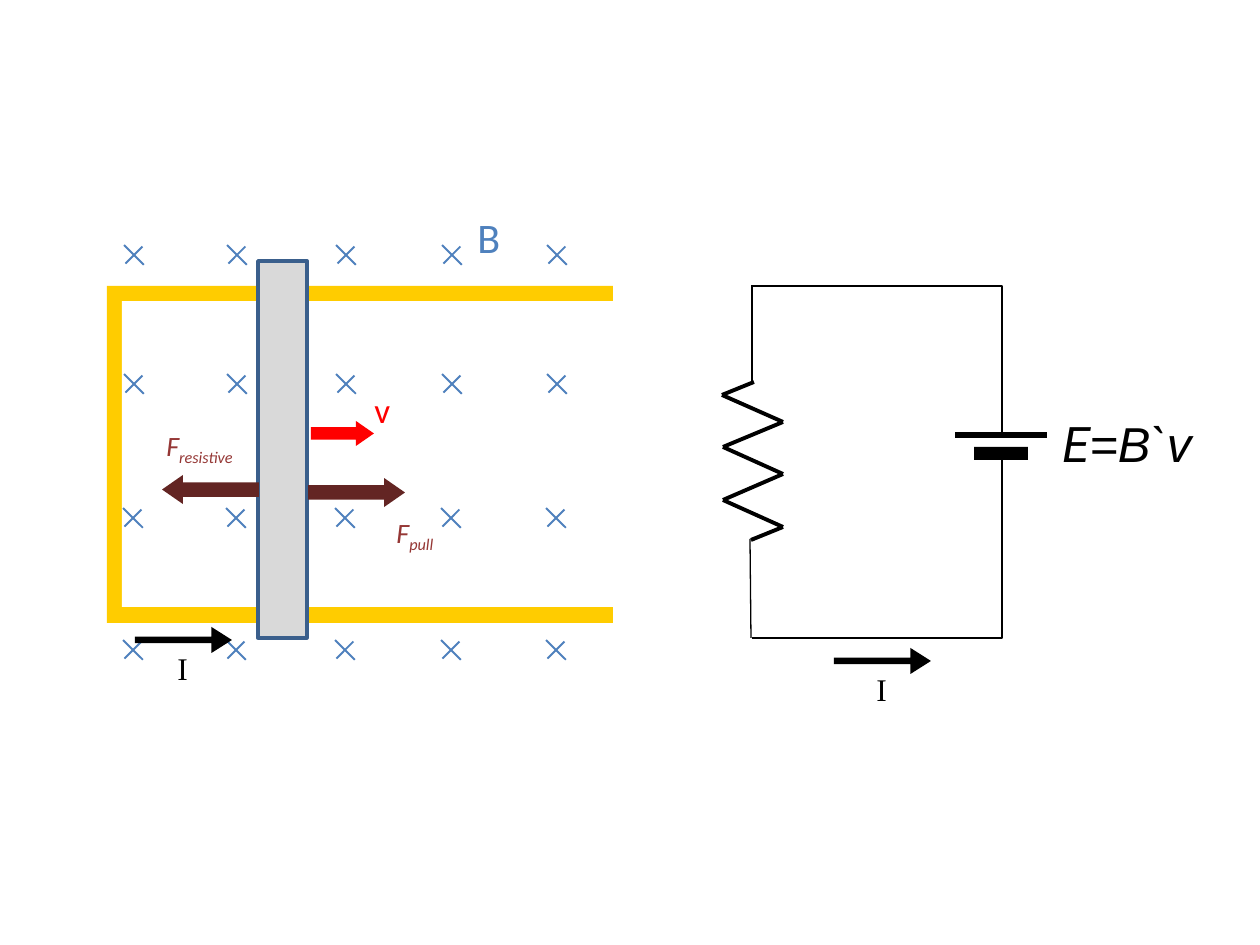
from lxml import etree
from pptx import Presentation
from pptx.dml.color import RGBColor
from pptx.enum.shapes import MSO_CONNECTOR, MSO_SHAPE
from pptx.enum.text import MSO_AUTO_SIZE
from pptx.oxml.ns import qn
from pptx.util import Emu, Pt

PX_PER_INCH = 126
BLACK, WHITE, RED = "000000", "FFFFFF", "FF0000"
BLUE, YELLOW, MAROON, BROWN = "4F81BD", "FFCC00", "953735", "632523"

# Yellow rail: full block, then the white opening on its right side
RAIL = [((107, 286, 506, 337), YELLOW), ((122, 301, 493, 306), WHITE)]

# Field crosses: centres of columns and rows, the two strokes of one cross
CROSS_COLUMNS = [134, 237, 346, 452, 557]
CROSS_ROWS = [(255, 0), (384, 0), (518, -1), (650, -1)]  # centre y, x shift
CROSS_STROKES = [(28, 45), (24, 315)]  # length, rotation
STROKE_WIDTH = 2

ROD = (258, 261, 49, 377)
BATTERY_PLATES = [(955, 432, 92, 6), (974, 447, 54, 13)]

# Arrows: box, colour, shaft share, head share, rotation
ARROWS = [
    ((311, 421, 63, 25), RED, 0.5, 0.719, 0),
    ((162, 475, 97, 29), BROWN, 0.5, 0.719, 180),
    ((308, 478, 97, 29), BROWN, 0.5, 0.719, 0),
    ((135, 627, 97, 26), BLACK, 0.249, 0.788, 0),
    ((834, 648, 97, 26), BLACK, 0.249, 0.788, 0),
]

RESISTOR = [(754, 382), (722, 395), (783, 422), (723, 447), (783, 474),
            (723, 500), (783, 527), (751, 540)]
STRAIGHT_WIRES = [((752, 383), (752, 285)), ((750, 539), (751, 638))]
BENT_WIRES = [((752, 286), (1002, 432)), ((752, 638), (1002, 460))]

# Labels: box, size, colour, italic, wrap, runs of (text, font, subscript)
LABELS = [
    ((362, 382, 42, 55), 20, RED, False, False, [("v", "Calibri", False)]),
    ((465, 205, 48, 63), 24, BLUE, False, False, [("B", "Calibri", False)]),
    ((384, 509, 67, 47), 16, MAROON, True, False,
     [("F", "Calibri", False), ("pull", "Calibri", True)]),
    ((154, 422, 101, 47), 16, MAROON, True, False,
     [("F", "Calibri", False), ("resistive", "Calibri", True)]),
    ((165, 643, 37, 50), 18, BLACK, False, False,
     [("I", "Times New Roman", False)]),
    ((864, 664, 37, 50), 18, BLACK, False, False,
     [("I", "Times New Roman", False)]),
    ((1050, 407, 205, 72), 28, BLACK, True, True,
     [("E", "Roboto", False), ("=B`v", "Arial", False)]),
]


def px(length):
    return Emu(round(length * 914400 / PX_PER_INCH))


def color(value):
    return RGBColor.from_string(value)


def add_block(slide, box, fill, kind=MSO_SHAPE.RECTANGLE, rotation=0):
    shape = slide.shapes.add_shape(kind, *map(px, box))
    shape.shadow.inherit = False
    shape.fill.solid()
    shape.fill.fore_color.rgb = color(fill)
    shape.line.fill.background()
    shape.rotation = rotation
    return shape


def add_wire(slide, start, end, width, kind=MSO_CONNECTOR.STRAIGHT):
    wire = slide.shapes.add_connector(kind, *map(px, start + end))
    wire.line.color.rgb = color(BLACK)
    wire.line.width = Pt(width)
    properties = wire._element.spPr
    etree.SubElement(properties, qn("a:effectLst"))
    if kind == MSO_CONNECTOR.ELBOW:  # one corner only
        properties.find(qn("a:prstGeom")).set("prst", "bentConnector2")


def add_label(slide, box, size, text_color, italic, wrap, runs):
    frame = slide.shapes.add_textbox(*map(px, box)).text_frame
    frame.word_wrap = wrap
    frame.auto_size = MSO_AUTO_SIZE.SHAPE_TO_FIT_TEXT
    paragraph = frame.paragraphs[0]
    for text, font_name, subscript in runs:
        run = paragraph.add_run()
        run.text = text
        run.font.name = font_name
        run.font.size = Pt(size)
        run.font.italic = italic
        run.font.color.rgb = color(text_color)
        if subscript:
            run.font._element.set("baseline", "-25000")


def main():
    presentation = Presentation()
    presentation.slide_width = px(1260)
    presentation.slide_height = px(945)
    slide = presentation.slides.add_slide(presentation.slide_layouts[6])

    # Rail and magnetic field
    for box, fill in RAIL:
        add_block(slide, box, fill)
    for column in CROSS_COLUMNS:
        for row, shift in CROSS_ROWS:
            for length, rotation in CROSS_STROKES:
                box = (column + shift - length / 2, row - STROKE_WIDTH / 2,
                       length, STROKE_WIDTH)
                add_block(slide, box, BLUE, rotation=rotation)

    # Sliding rod
    rod = add_block(slide, ROD, "D9D9D9")
    rod.line.color.rgb = color("3A5F8C")
    rod.line.width = Pt(2)

    # Velocity, force and current arrows
    for box, fill, shaft, head, rotation in ARROWS:
        arrow = add_block(slide, box, fill, MSO_SHAPE.RIGHT_ARROW, rotation)
        arrow.adjustments[0] = shaft
        arrow.adjustments[1] = head

    # Equivalent circuit
    for box in BATTERY_PLATES:
        add_block(slide, box, BLACK)
    for start, end in zip(RESISTOR, RESISTOR[1:]):
        add_wire(slide, start, end, 2.25)
    for start, end in STRAIGHT_WIRES:
        add_wire(slide, start, end, 0.75)
    for start, end in BENT_WIRES:
        add_wire(slide, start, end, 0.75, MSO_CONNECTOR.ELBOW)

    for label in LABELS:
        add_label(slide, *label)

    presentation.save("out.pptx")


if __name__ == "__main__":
    main()
